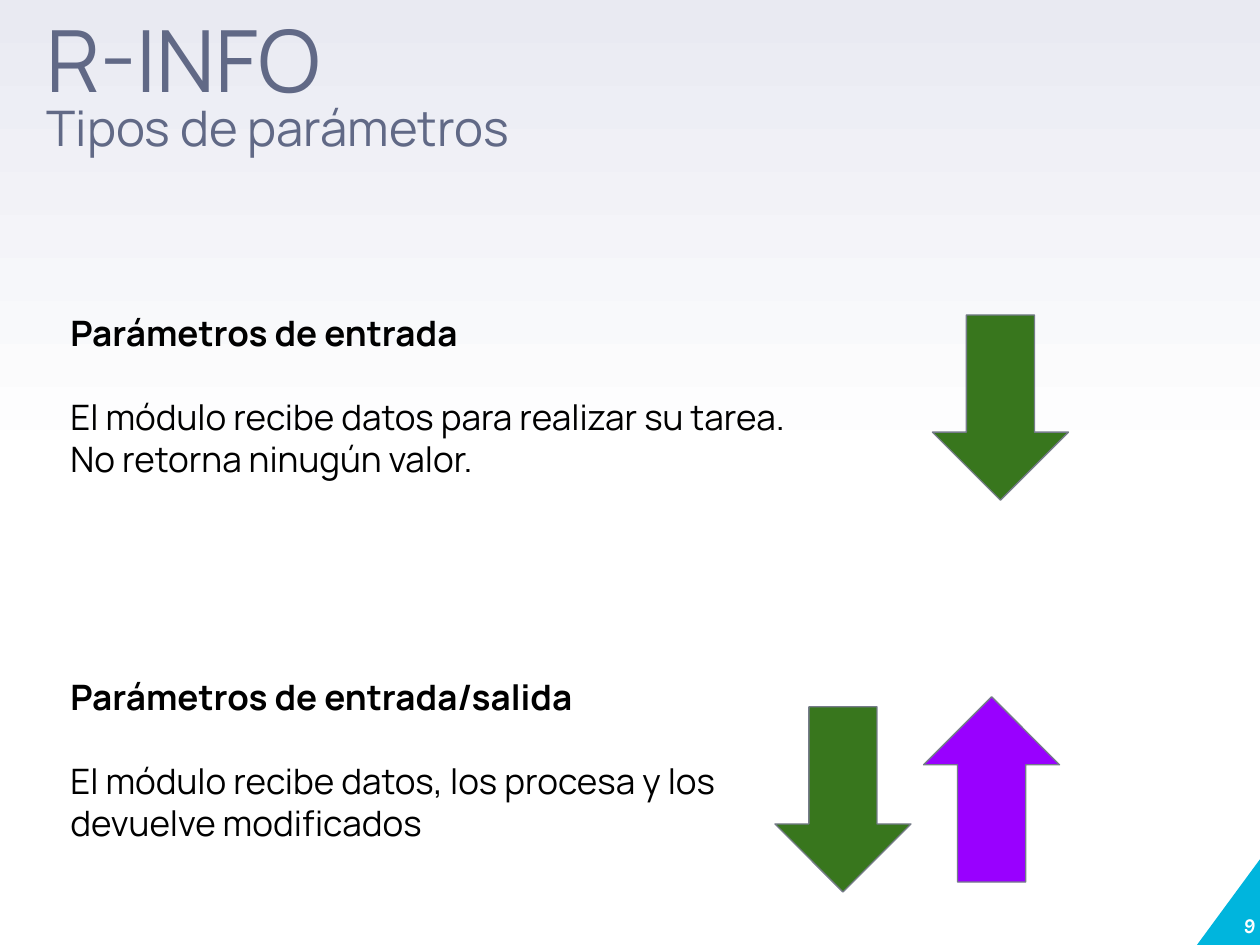
"""Build a slide on input and input/output parameter types."""
from dataclasses import dataclass
from typing import Any

import pptx
import pptx.dml.color
import pptx.enum.shapes
import pptx.enum.text
import pptx.util

Inches = pptx.util.Inches
Pt = pptx.util.Pt
Shapes = pptx.enum.shapes.MSO_SHAPE
Anchor = pptx.enum.text.MSO_ANCHOR
Align = pptx.enum.text.PP_ALIGN

GREEN, PURPLE, CYAN = "38761D", "9900FF", "00B5DD"
WHITE, BLACK, SLATE, OUTLINE, HAZE = "FFFFFF", "000000", "616986", "757B89", "E9EAF2"


@dataclass(frozen=True)
class Section:
    top: float
    heading: str
    description: str


@dataclass(frozen=True)
class Arrow:
    left: float
    top: float
    fill: str
    rotation: int = 0


SECTIONS = (
    Section(2.37, "Parámetros de entrada",
            "El módulo recibe datos para realizar su tarea. No retorna ninugún valor."),
    Section(5.26, "Parámetros de entrada/salida",
            "El módulo recibe datos, los procesa y los devuelve modificados"),
)
ARROWS = (
    Arrow(7.4, 2.5, GREEN),
    Arrow(6.15, 5.61, GREEN),
    Arrow(7.33, 5.53, PURPLE, 180),
)


def rgb(value: str) -> pptx.dml.color.RGBColor:
    return pptx.dml.color.RGBColor.from_string(value)


def apply(target: Any, values: dict[str, Any]) -> None:
    for name, value in values.items():
        setattr(target, name, value)


def set_frame(frame: Any, inset: float, anchor: Any = Anchor.TOP) -> None:
    margins = {f"margin_{side}": Inches(inset) for side in ("left", "top", "right", "bottom")}
    apply(frame, {"word_wrap": True, "vertical_anchor": anchor,
                  "auto_size": pptx.enum.text.MSO_AUTO_SIZE.NONE, **margins})


def add_run(paragraph: Any, text: str, size: int, color: str, **values: Any) -> None:
    run = paragraph.add_run()
    run.text = text
    apply(run.font, {"name": "Manrope", "size": Pt(size), **values})
    run.font.color.rgb = rgb(color)


def paint_background(slide: Any) -> None:
    fill = slide.background.fill
    fill.gradient()
    fill.gradient_angle = 90
    for stop, position, color in zip(fill.gradient_stops, (0.5, 1), (WHITE, HAZE)):
        stop.position = position
        stop.color.rgb = rgb(color)


def add_solid(slide: Any, kind: Any, box: tuple[float, ...], color: str) -> Any:
    shape = slide.shapes.add_shape(kind, *map(Inches, box))
    shape.shadow.inherit = False
    shape.fill.solid()
    shape.fill.fore_color.rgb = rgb(color)
    shape.line.fill.background()
    return shape


def add_page_number(slide: Any) -> None:
    corner = add_solid(slide, Shapes.RIGHT_TRIANGLE, (9.5, 6.82, 0.5, 0.68), CYAN)
    corner._element.spPr.xfrm.set("flipH", "1")
    frame = slide.shapes.add_textbox(*map(Inches, (9.46, 6.76, 0.5, 0.68))).text_frame
    set_frame(frame, 0, Anchor.BOTTOM)
    paragraph = frame.paragraphs[0]
    paragraph.alignment = Align.RIGHT
    add_run(paragraph, "9", 12, WHITE, name="Karla", bold=True, italic=True)


def write_title(slide: Any) -> None:
    title = slide.shapes.title
    apply(title, {"left": Inches(0.37), "top": Inches(0.21),
                  "width": Inches(8.69), "height": Inches(1.14)})
    set_frame(title.text_frame, 0)
    paragraph = title.text_frame.paragraphs[0]
    apply(paragraph, {"alignment": Align.LEFT, "line_spacing": 0.8})
    add_run(paragraph, "R-INFO ", 49, SLATE)
    paragraph.add_line_break()
    add_run(paragraph, "Tipos de parámetros", 28, SLATE)


def add_section(slide: Any, section: Section) -> None:
    box = map(Inches, (0.46, section.top, 6.21, 0.72))
    frame = slide.shapes.add_textbox(*box).text_frame
    set_frame(frame, 0.1)
    add_run(frame.paragraphs[0], section.heading, 20, BLACK, bold=True)
    description = frame.add_paragraph()
    description.space_before = Pt(24)
    add_run(description, section.description, 20, BLACK, bold=False)


def add_arrow(slide: Any, arrow: Arrow) -> None:
    shape = add_solid(slide, Shapes.DOWN_ARROW, (arrow.left, arrow.top, 1.08, 1.47), arrow.fill)
    shape.rotation = arrow.rotation
    shape.line.color.rgb = rgb(OUTLINE)
    shape.line.width = Pt(0.75)


def main() -> None:
    presentation = pptx.Presentation()
    apply(presentation, {"slide_width": Inches(10), "slide_height": Inches(7.5)})
    slide = presentation.slides.add_slide(presentation.slide_layouts.get_by_name("Title Only"))
    paint_background(slide)
    add_page_number(slide)
    write_title(slide)
    for section in SECTIONS:
        add_section(slide, section)
    for arrow in ARROWS:
        add_arrow(slide, arrow)
    presentation.save("out.pptx")


if __name__ == "__main__":
    main()
